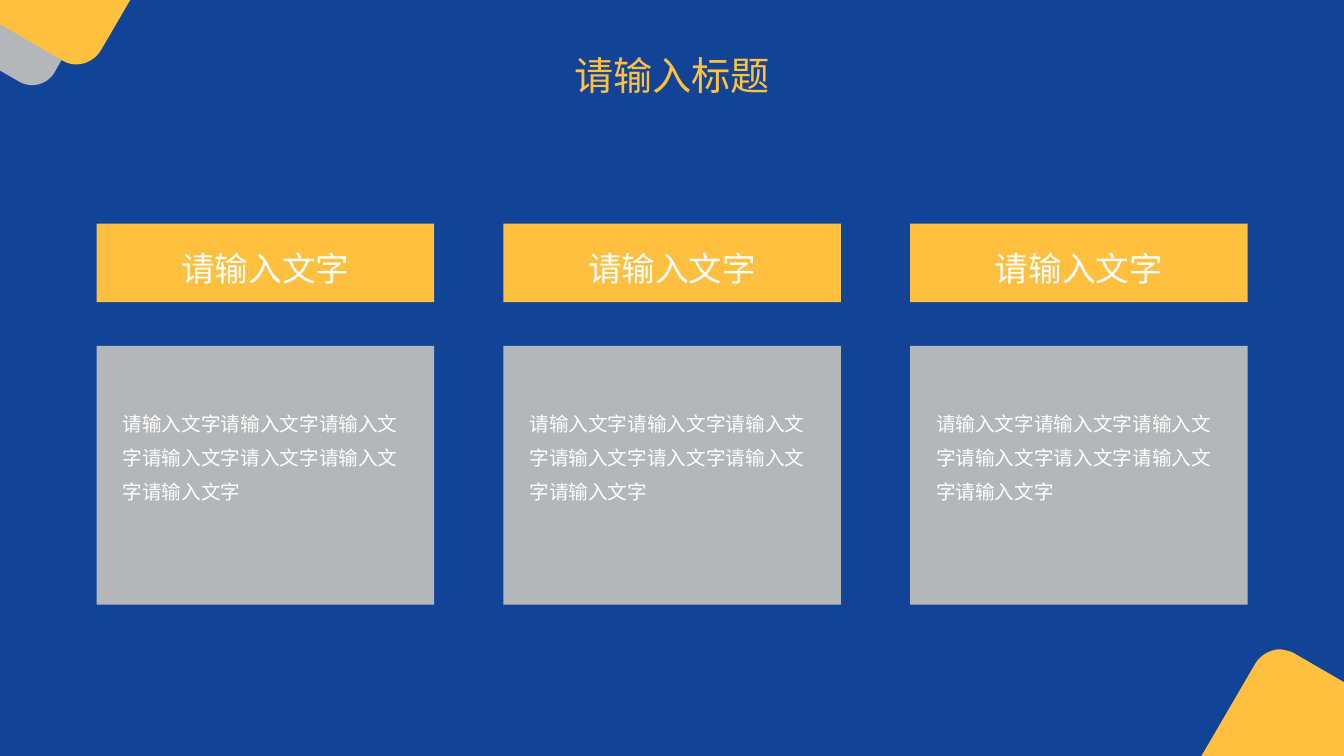
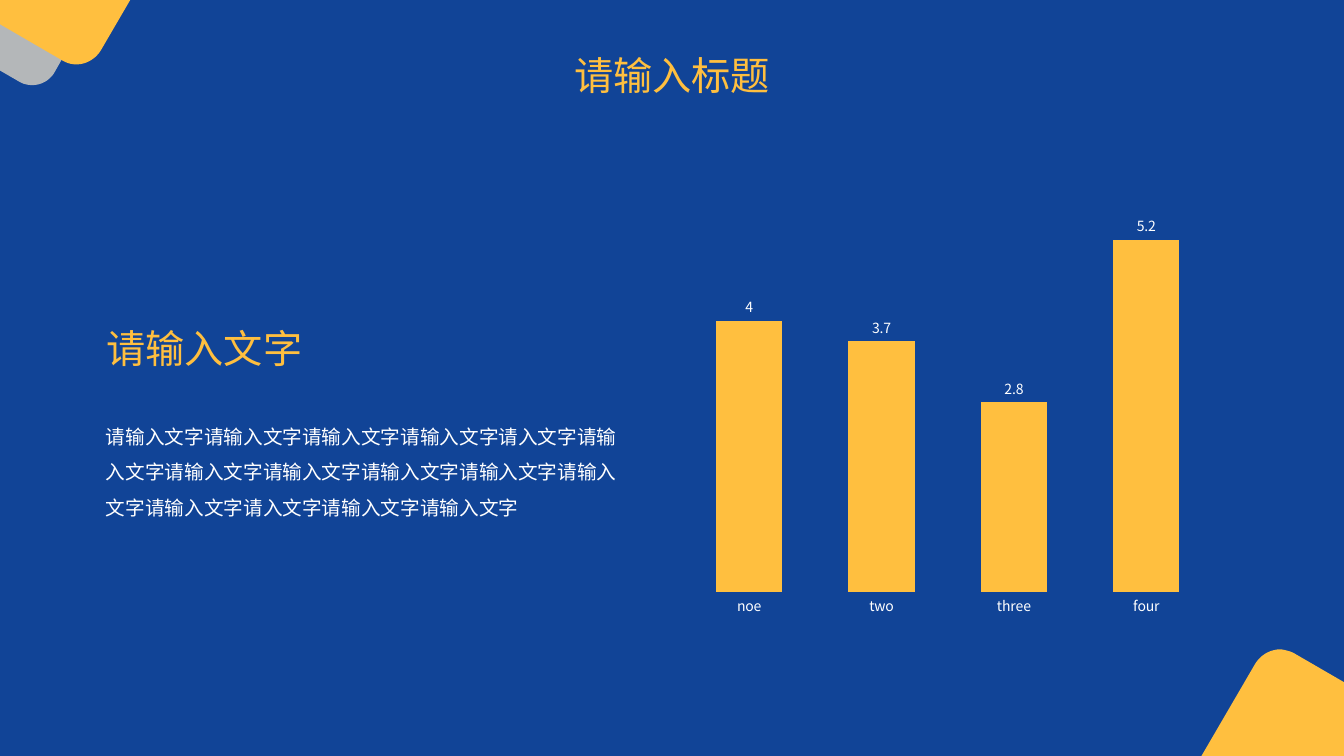
"""Build a two-slide deck: three text cards, then a column chart with text."""
from dataclasses import dataclass
from typing import Any

from lxml import etree
from pptx import Presentation
from pptx import util as u
from pptx.chart import data as cd
from pptx.dml import color as dc
from pptx.enum import chart as ch, shapes as sh, text as tx
from pptx.oxml import ns

BLUE, GOLD, GREY, WHITE = "114497", "FFBF3F", "B4B7B9", "FFFFFF"
FONT = "Noto Sans CJK SC"
LABEL = "请输入文字"
SHORT = "请入文字"
BODY = LABEL * 4 + SHORT + LABEL * 2
LONG = LABEL * 4 + SHORT + LABEL * 7 + SHORT + LABEL * 2
STEPS = 16


@dataclass(frozen=True)
class Box:
    x: float
    y: float
    w: float
    h: float

    def emu(self) -> list[u.Pt]:
        return [u.Pt(n) for n in (self.x, self.y, self.w, self.h)]


@dataclass(frozen=True)
class Style:
    size: float
    color: str = WHITE
    align: Any = tx.PP_ALIGN.LEFT
    space: float = 1.0


@dataclass(frozen=True)
class Patch:
    color: str
    steps: tuple[tuple[float, ...], ...]


MID = tx.PP_ALIGN.CENTER
TITLE = Style(28, GOLD, MID, 1.3)
HEAD = Style(28, GOLD)
CARD = Style(24, align=MID)
NOTE = Style(14, space=1.45)
PROSE = Style(14, space=1.5)

PATCHES = (
    Patch(GREY, ((0, 0), (68.2, 0), (38.9, 51.8),
                 (33.8, 60.5, 22.3, 63.4, 13.7, 58.3), (0, 50.4))),
    Patch(GOLD, ((0, 0), (93, 0), (72, 36),
                 (66.2, 45.4, 54, 49, 44.6, 43.2), (0, 17.3))),
    Patch(GOLD, ((915.1, 463.8), (918, 464.4, 921.6, 465.1, 924.5, 466.7),
                 (960, 487.3), (960, 540), (858.2, 540), (896.4, 474.5),
                 (900.7, 467.3, 907.9, 463.8, 915.1, 463.8))),
)


def rgb(code: str) -> dc.RGBColor:
    return dc.RGBColor.from_string(code)


def apply(obj: Any, vals: dict[str, Any]) -> None:
    for key, val in vals.items():
        setattr(obj, key, val)


def paint(shape: Any, code: str) -> None:
    shape.shadow.inherit = False
    shape.fill.solid()
    shape.fill.fore_color.rgb = rgb(code)
    shape.line.fill.background()


def curve(start: tuple[float, ...], ctrl: tuple[float, ...]) -> list[tuple[float, float]]:
    pts = [start, ctrl[:2], ctrl[2:4], ctrl[4:]]
    out = []
    for i in range(1, STEPS + 1):
        t = i / STEPS
        wts = ((1 - t) ** 3, 3 * t * (1 - t) ** 2, 3 * t * t * (1 - t), t ** 3)
        x, y = (sum(k * p[n] for k, p in zip(wts, pts)) for n in (0, 1))
        out.append((x, y))
    return out


def patch(slide: Any, item: Patch) -> None:
    pts = [item.steps[0]]
    for step in item.steps[1:]:
        pts += curve(pts[-1], step) if len(step) == 6 else [step]
    dots = [(u.Pt(x), u.Pt(y)) for x, y in pts]
    pen = slide.shapes.build_freeform(*dots[0], scale=1.0)
    pen.add_line_segments(dots[1:], close=True)
    paint(pen.convert_to_shape(), item.color)


def rect(slide: Any, box: Box, code: str) -> None:
    paint(slide.shapes.add_shape(sh.MSO_SHAPE.RECTANGLE, *box.emu()), code)


def write(slide: Any, box: Box, words: str, style: Style) -> None:
    frame = slide.shapes.add_textbox(*box.emu()).text_frame
    apply(frame, {"word_wrap": True, "auto_size": tx.MSO_AUTO_SIZE.SHAPE_TO_FIT_TEXT})
    para = frame.paragraphs[0]
    apply(para, {"alignment": style.align, "line_spacing": style.space})
    run = para.add_run()
    run.text = words
    apply(run.font, {"name": FONT, "size": u.Pt(style.size)})
    run.font.color.rgb = rgb(style.color)
    etree.SubElement(run.font._element, ns.qn("a:ea"), typeface=FONT)


def card(slide: Any, x: float) -> None:
    rect(slide, Box(x, 247, 241.2, 185), GREY)
    rect(slide, Box(x, 159.8, 241.2, 56), GOLD)
    write(slide, Box(x + 19, 173.5, 203.2, 36), LABEL, CARD)
    write(slide, Box(x + 11.6, 283, 217.6, 78.5), BODY, NOTE)


def graph(slide: Any, box: Box) -> None:
    data = cd.CategoryChartData()
    data.categories = ["noe", "two", "three", "four"]
    data.add_series("Series 1", (4, 3.7, 2.8, 5.2))
    kind = ch.XL_CHART_TYPE.COLUMN_CLUSTERED
    chart = slide.shapes.add_chart(kind, *box.emu(), data).chart
    apply(chart, {"has_legend": False, "has_title": False})
    plot = chart.plots[0]
    apply(plot, {"gap_width": 100, "vary_by_categories": False, "has_data_labels": True})
    apply(plot.data_labels, {"show_value": True,
                             "position": ch.XL_LABEL_POSITION.OUTSIDE_END})
    fill = plot.series[0].format.fill
    fill.solid()
    fill.fore_color.rgb = rgb(GOLD)
    apply(chart.value_axis, {"visible": False, "has_major_gridlines": False,
                             "minimum_scale": 0, "maximum_scale": 6})
    axis = chart.category_axis
    apply(axis, {"major_tick_mark": ch.XL_TICK_MARK.NONE})
    axis.format.line.fill.background()
    for font in (chart.font, axis.tick_labels.font, plot.data_labels.font):
        apply(font, {"name": FONT, "size": u.Pt(10)})
        font.color.rgb = rgb(WHITE)


def cards(slide: Any) -> None:
    for n in range(3):
        card(slide, 69 + 290.5 * n)


def stats(slide: Any) -> None:
    graph(slide, Box(480, 126, 394, 320.4))
    write(slide, Box(69, 228.2, 200, 41), LABEL, HEAD)
    write(slide, Box(68.6, 291.6, 380.2, 80.6), LONG, PROSE)


def main() -> None:
    deck = Presentation()
    apply(deck, {"slide_width": u.Pt(960), "slide_height": u.Pt(540)})
    back = deck.slide_master.background.fill
    back.solid()
    back.fore_color.rgb = rgb(BLUE)
    for draw in (cards, stats):
        slide = deck.slides.add_slide(deck.slide_layouts[6])
        for item in PATCHES:
            patch(slide, item)
        draw(slide)
        write(slide, Box(329, 23, 302, 47.5), "请输入标题", TITLE)
    deck.save("out.pptx")


if __name__ == "__main__":
    main()
